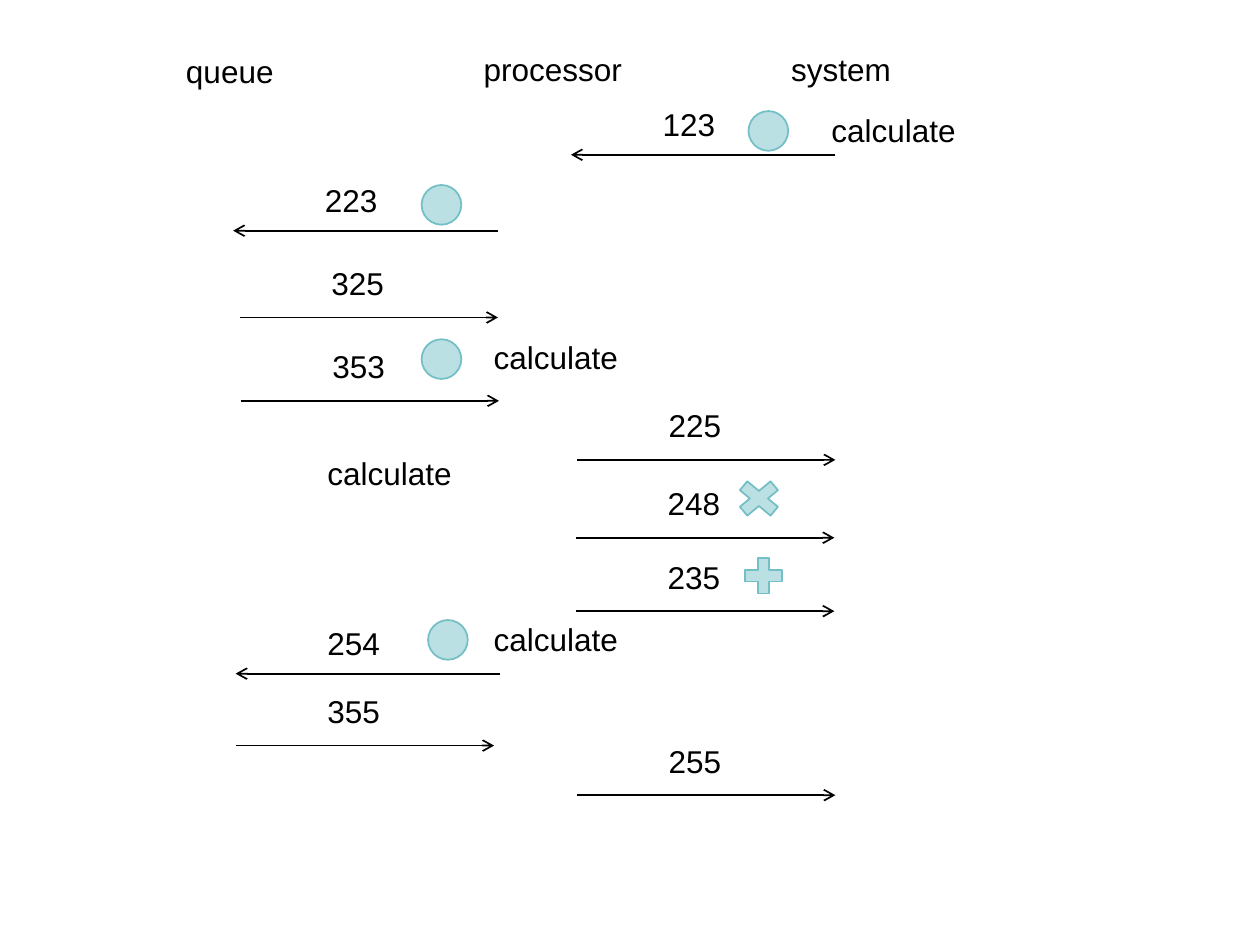
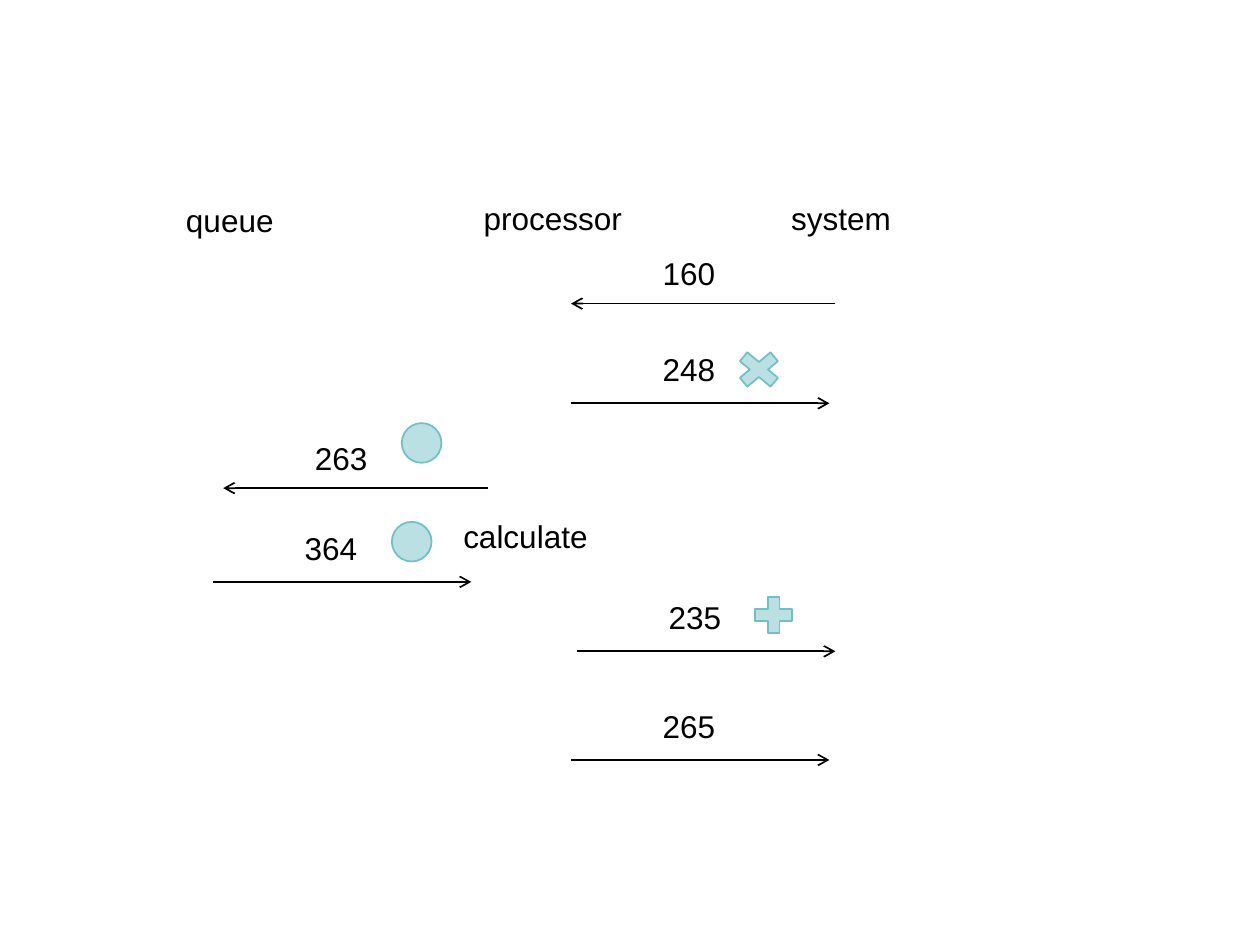
from enum import Enum
from typing import NamedTuple

from lxml.etree import SubElement
from pptx import Presentation
from pptx.dml.color import RGBColor
from pptx.enum.shapes import MSO_CONNECTOR, MSO_SHAPE
from pptx.enum.text import MSO_ANCHOR
from pptx.oxml.ns import qn
from pptx.slide import Slide
from pptx.util import Cm, Pt

BLACK = RGBColor(0x00, 0x00, 0x00)
WHITE = RGBColor(0xFF, 0xFF, 0xFF)
PALE_TEAL = RGBColor(0xBB, 0xE0, 0xE3)
TEAL = RGBColor(0x72, 0xBF, 0xC5)

FONT = "Arial"
FONT_SIZE = Pt(18)
LINE_WIDTH = Pt(1)

# All numbers below are centimetres.
SLIDE_WIDTH, SLIDE_HEIGHT = 25.4, 19.05
LABEL_HEIGHT = 1.02
HEADING_WIDTH, NUMBER_WIDTH, ACTION_WIDTH = 4.01, 3.61, 12.7
NUMBER_INDENT = 1.6


class Direction(Enum):
    """Arrow length, and the rise of the number's box above the arrow."""
    LEFT = (5.33, 1.12)
    RIGHT = (5.21, 1.2)


class Symbol(Enum):
    """Preset shape with its width and height."""
    CIRCLE = (MSO_SHAPE.OVAL, 0.8, 0.8)
    TIMES = (MSO_SHAPE.MATH_MULTIPLY, 1.19, 0.99)
    PLUS = (MSO_SHAPE.MATH_PLUS, 1.02, 0.97)


class Heading(NamedTuple):
    text: str
    left: float
    drop: float = 0


class Message(NamedTuple):
    number: str
    left: float
    y: float
    direction: Direction


class Mark(NamedTuple):
    symbol: Symbol
    center_x: float
    center_y: float


class Action(NamedTuple):
    left: float
    top: float


class Sequence(NamedTuple):
    heading_top: float
    messages: list[Message]
    marks: list[Mark]
    actions: list[Action]


HEADINGS = [Heading("queue", 3.5, 0.04), Heading("processor", 9.5), Heading("system", 15.7)]

SEQUENCES = [
    Sequence(
        heading_top=0.89,
        messages=[
            Message("123", 11.51, 3.12, Direction.LEFT),
            Message("223", 4.7, 4.65, Direction.LEFT),
            Message("325", 4.83, 6.4, Direction.RIGHT),
            Message("353", 4.85, 8.08, Direction.RIGHT),
            Message("225", 11.63, 9.27, Direction.RIGHT),
            Message("248", 11.61, 10.84, Direction.RIGHT),
            Message("235", 11.61, 12.32, Direction.RIGHT),
            Message("254", 4.75, 13.58, Direction.LEFT),
            Message("355", 4.75, 15.03, Direction.RIGHT),
            Message("255", 11.63, 16.03, Direction.RIGHT),
        ],
        marks=[
            Mark(Symbol.CIRCLE, 15.49, 2.64),
            Mark(Symbol.CIRCLE, 8.9, 4.13),
            Mark(Symbol.CIRCLE, 8.9, 7.24),
            Mark(Symbol.TIMES, 15.3, 10.05),
            Mark(Symbol.PLUS, 15.39, 11.61),
            Mark(Symbol.CIRCLE, 9.03, 12.9),
        ],
        actions=[Action(16.51, 2.11), Action(9.7, 6.68), Action(6.35, 9.02), Action(9.7, 12.37)],
    ),
    Sequence(
        heading_top=3.88,
        messages=[
            Message("160", 11.51, 6.12, Direction.LEFT),
            Message("248", 11.51, 8.13, Direction.RIGHT),
            Message("263", 4.5, 9.84, Direction.LEFT),
            Message("364", 4.29, 11.73, Direction.RIGHT),
            Message("235", 11.63, 13.13, Direction.RIGHT),
            Message("265", 11.51, 15.32, Direction.RIGHT),
        ],
        marks=[
            Mark(Symbol.TIMES, 15.3, 7.45),
            Mark(Symbol.CIRCLE, 8.5, 8.93),
            Mark(Symbol.CIRCLE, 8.3, 10.92),
            Mark(Symbol.PLUS, 15.6, 12.4),
        ],
        actions=[Action(9.09, 10.29)],
    ),
]


def add_label(slide: Slide, text: str, left: float, top: float, width: float) -> None:
    label = slide.shapes.add_textbox(Cm(left), Cm(top), Cm(width), Cm(LABEL_HEIGHT))
    frame = label.text_frame
    frame.word_wrap = True
    frame.vertical_anchor = MSO_ANCHOR.TOP
    frame.text = text
    font = frame.paragraphs[0].runs[0].font
    font.name, font.size = FONT, FONT_SIZE
    font.color.rgb = BLACK


def add_message(slide: Slide, message: Message) -> None:
    """Draw an arrow with its number above it."""
    length, rise = message.direction.value
    start, end = message.left, message.left + length
    if message.direction is Direction.LEFT:
        start, end = end, start
    arrow = slide.shapes.add_connector(
        MSO_CONNECTOR.STRAIGHT, Cm(start), Cm(message.y), Cm(end), Cm(message.y))
    arrow.line.color.rgb = BLACK
    arrow.line.width = LINE_WIDTH
    properties = arrow._element.spPr
    SubElement(properties.find(qn("a:ln")), qn("a:tailEnd"), type="arrow")
    SubElement(properties, qn("a:effectLst"))
    add_label(slide, message.number, message.left + NUMBER_INDENT, message.y - rise, NUMBER_WIDTH)


def add_mark(slide: Slide, mark: Mark) -> None:
    preset, width, height = mark.symbol.value
    shape = slide.shapes.add_shape(
        preset, Cm(mark.center_x - width / 2), Cm(mark.center_y - height / 2), Cm(width), Cm(height))
    shape.shadow.inherit = False
    shape.fill.solid()
    shape.fill.fore_color.rgb = PALE_TEAL
    shape.line.color.rgb = TEAL
    shape.line.width = LINE_WIDTH


def draw_sequence(slide: Slide, sequence: Sequence) -> None:
    slide.background.fill.solid()
    slide.background.fill.fore_color.rgb = WHITE
    for heading in HEADINGS:
        add_label(slide, heading.text, heading.left, sequence.heading_top + heading.drop, HEADING_WIDTH)
    for message in sequence.messages:
        add_message(slide, message)
    for mark in sequence.marks:
        add_mark(slide, mark)
    for action in sequence.actions:
        width = min(ACTION_WIDTH, SLIDE_WIDTH - action.left)
        add_label(slide, "calculate", action.left, action.top, width)


def main() -> None:
    presentation = Presentation()
    presentation.slide_width, presentation.slide_height = Cm(SLIDE_WIDTH), Cm(SLIDE_HEIGHT)
    blank = presentation.slide_layouts[6]
    for sequence in SEQUENCES:
        draw_sequence(presentation.slides.add_slide(blank), sequence)
    presentation.save("out.pptx")


if __name__ == "__main__":
    main()
